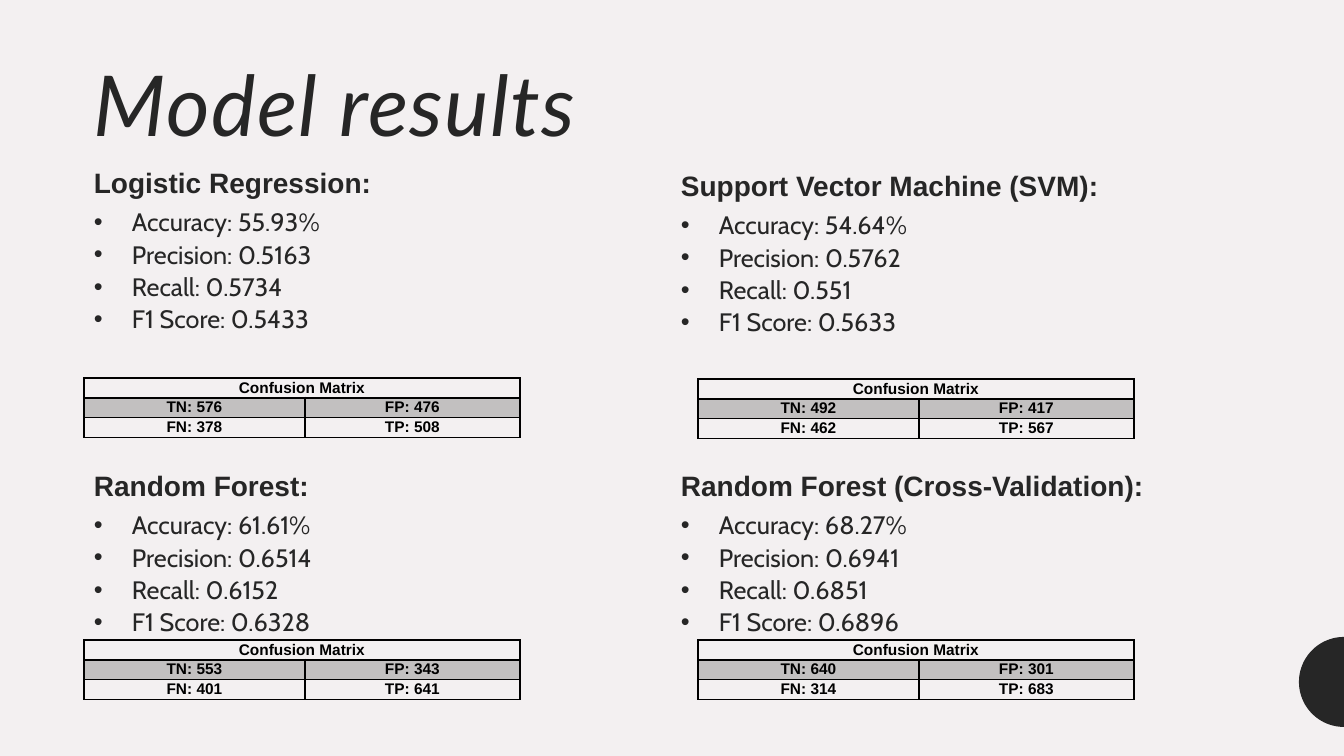
from math import cos, pi, sin

from lxml.etree import SubElement
from pptx import Presentation
from pptx.dml.color import RGBColor
from pptx.enum.text import MSO_ANCHOR, PP_ALIGN
from pptx.oxml import parse_xml
from pptx.oxml.ns import nsdecls, qn
from pptx.util import Emu, Pt

THEME = {
    "background": RGBColor.from_string("F3F0F1"),
    "ink": RGBColor.from_string("262626"),
    "table": RGBColor.from_string("000000"),
    "title": ("Lato", 60),
    "heading": ("Arial", 20),
    "metric": ("Cabin", 18),
    "cell": ("Arial", 11),
}
SHADE_ALPHA = 20
PX = 914400 / 100.8
METRICS = ["Accuracy", "Precision", "Recall", "F1 Score"]
COUNTS = ["TN", "FP", "FN", "TP"]
COLUMN_WIDTHS = [221, 215]
ROW_HEIGHT = 18
INDENT = 38

# name, text position, metric values, table position, confusion counts
MODELS = [
    ("Logistic Regression:", (84, 157), ["55.93%", "0.5163", "0.5734", "0.5433"],
     (84, 378), [576, 476, 378, 508]),
    ("Support Vector Machine (SVM):", (671, 160), ["54.64%", "0.5762", "0.551", "0.5633"],
     (698, 379), [492, 417, 462, 567]),
    ("Random Forest:", (84, 460), ["61.61%", "0.6514", "0.6152", "0.6328"],
     (84, 640), [553, 343, 401, 641]),
    ("Random Forest (Cross-Validation):", (671, 460), ["68.27%", "0.6941", "0.6851", "0.6896"],
     (698, 640), [640, 301, 314, 683]),
]


def emu(*lengths):
    """Turn px lengths into EMU."""
    return [Emu(round(length * PX)) for length in lengths]


def write(para, text, style, color, font=None, **layout):
    """Add one styled span; font and layout hold further format values."""
    span = para.add_run()
    span.text = text
    name, size = THEME[style]
    for key, value in {"name": name, "size": Pt(size), **(font or {})}.items():
        setattr(span.font, key, value)
    span.font.color.rgb = THEME[color]
    for key, value in layout.items():
        setattr(para, key, value)
    return span


deck = Presentation()
deck.slide_width, deck.slide_height = emu(1344, 756)
page = deck.slides.add_slide(deck.slide_layouts[6])
page.background.fill.solid()
page.background.fill.fore_color.rgb = THEME["background"]

# Half disc on the right edge
center_x, center_y, radius, steps = 1344, 682, 45, 48
arc = [(round((center_x - radius * sin(pi * i / steps)) * 100),
        round((center_y - radius * cos(pi * i / steps)) * 100)) for i in range(steps + 1)]
builder = page.shapes.build_freeform(*arc[0], scale=PX / 100)
builder.add_line_segments(arc[1:], close=True)
half_disc = builder.convert_to_shape()
half_disc.shadow.inherit = False
half_disc.fill.solid()
half_disc.fill.fore_color.rgb = THEME["ink"]
half_disc.line.fill.background()

# Title
title = page.shapes.add_textbox(*emu(84, 59, 1176, 104)).text_frame
title.word_wrap = True
title.vertical_anchor = MSO_ANCHOR.TOP
span = write(title.paragraphs[0], "Model results", "title", "ink",
             {"italic": True}, line_spacing=0.9)
span.font._element.set("spc", "100")

for name, text_at, values, table_at, counts in MODELS:
    # Heading and metrics
    frame = page.shapes.add_textbox(*emu(*text_at, 589, 273)).text_frame
    frame.word_wrap = True
    write(frame.paragraphs[0], name, "heading", "ink", {"bold": True},
          line_spacing=1.1, space_before=Pt(4), space_after=Pt(4))
    for metric, value in zip(METRICS, values):
        para = frame.add_paragraph()
        write(para, f"{metric}: {value}", "metric", "ink", line_spacing=1.07)
        properties = para._p.get_or_add_pPr()
        indent = emu(INDENT)[0]
        properties.set("marL", str(indent))
        properties.set("indent", str(-indent))
        SubElement(properties, qn("a:buFont"), typeface="Arial")
        SubElement(properties, qn("a:buChar"), char="•")
    para.space_after = Pt(8)

    # Confusion matrix
    matrix = page.shapes.add_table(
        3, 2, *emu(*table_at, sum(COLUMN_WIDTHS), 3 * ROW_HEIGHT)).table
    matrix.first_row = matrix.horz_banding = False
    for column, width in zip(matrix.columns, emu(*COLUMN_WIDTHS)):
        column.width = width
    for row in matrix.rows:
        row.height = emu(ROW_HEIGHT)[0]
    matrix.cell(0, 0).merge(matrix.cell(0, 1))
    labels = ["Confusion Matrix", ""]
    labels += [f"{label}: {count}" for label, count in zip(COUNTS, counts)]

    for index, (cell, label) in enumerate(zip(matrix.iter_cells(), labels)):
        row_index = index // 2
        margins = emu(7, 7, 0, 0)
        for side, margin in zip(["left", "right", "top", "bottom"], margins):
            setattr(cell, f"margin_{side}", margin)
        if label:
            write(cell.text_frame.paragraphs[0], label, "cell", "table", {"bold": True},
                  alignment=PP_ALIGN.CENTER, line_spacing=1.07)
        if row_index == 1:
            cell.fill.solid()
            cell.fill.fore_color.rgb = THEME["table"]
            color = cell._tc.tcPr.find(".//" + qn("a:srgbClr"))
            SubElement(color, qn("a:alpha"), val=str(SHADE_ALPHA * 1000))
        else:
            cell.fill.background()
        for position, side in enumerate("LRTB"):
            below_header = (row_index, side) in [(0, "B"), (1, "T")]
            border = parse_xml(
                f'<a:ln{side} {nsdecls("a")} w="{Pt(2 if below_header else 1)}">'
                f'<a:solidFill><a:srgbClr val="{THEME["table"]}"/></a:solidFill></a:ln{side}>')
            cell._tc.tcPr.insert(position, border)

deck.save("out.pptx")
